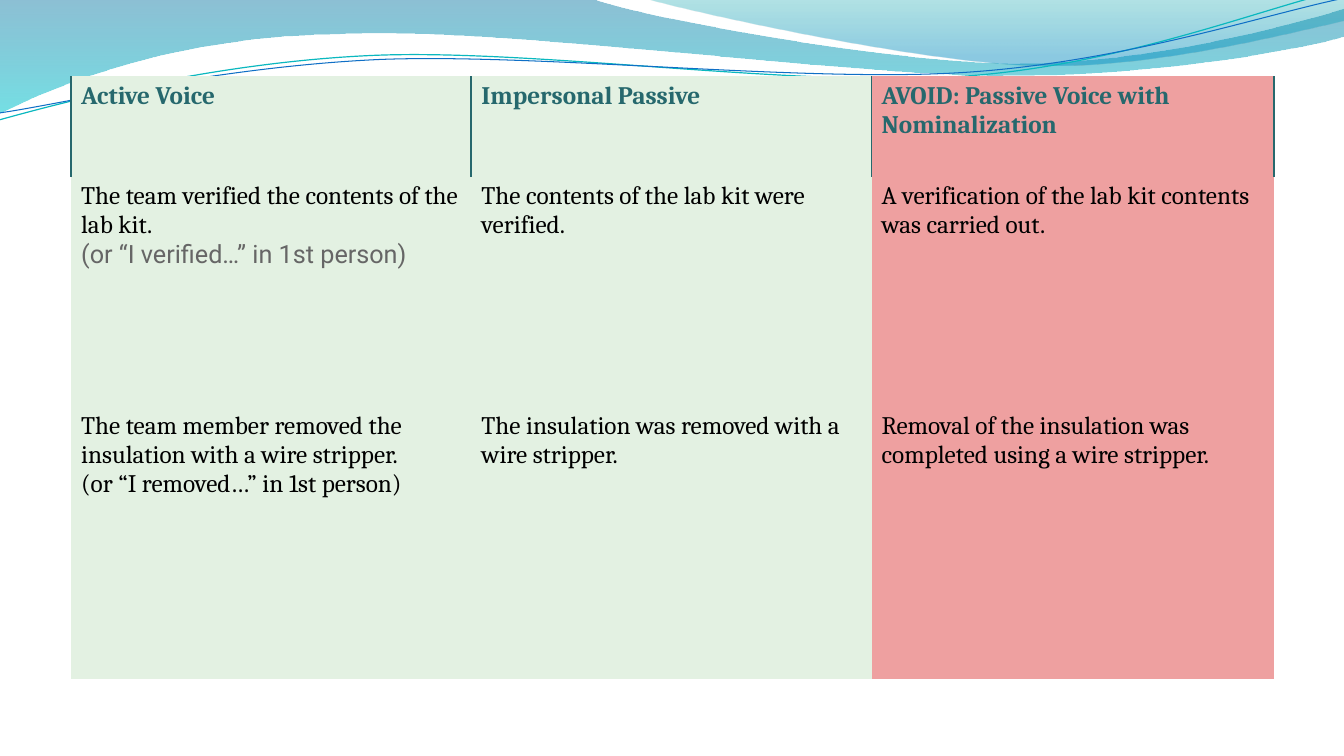
from lxml import etree
from pptx import Presentation
from pptx import util as u
from pptx.dml.color import RGBColor
from pptx.oxml.ns import qn

COLORS = {
    "wave_blue": "0074A1", "wave_cyan": "00C6CF",
    "crest_teal": "00A1A9", "crest_blue": "008BBF",
    "line_teal": "0AB8BF", "line_blue": "0F6FC6",
    "heading": "26686D", "body": "000000", "aside": "666666",
    "good": "E3F1E2", "avoid": "EEA0A0",
}
GRID_COLUMNS, GRID_ROWS = 13.33, 7.5
PLAIN_TABLE_STYLE = "{2D5ABB26-0587-4C30-8999-92F81FD0307C}"

WAVES = [
    ([(0, 0), (5.87, -0.01),
      (6.34, 0.17, 8.85, 0.63, 10.11, 0.63),
      (11.38, 0.63, 12.78, 0.26, 13.33, 0.09), (13.35, 0.36),
      (13.11, 0.44, 11.6, 0.76, 9.94, 0.75),
      (8.29, 0.75, 5.09, 0.28, 3.43, 0.34),
      (1.72, 0.36, 0.61, 0.83, -0.01, 1.13)],
     [(0, "wave_blue", 45), (1, "wave_cyan", 55)]),
    ([(6.39, -0.01),
      (6.79, 0.11, 9.09, 0.62, 10.25, 0.65),
      (11.41, 0.69, 12.82, 0.32, 13.33, 0.21), (13.33, 0)],
     [(0, "crest_teal", 30), (0.8, "crest_blue", 45)]),
]
RIPPLES = [
    ([(-0.01, 1.19),
      (0.64, 1.01, 2.11, 0.62, 3.69, 0.55),
      (5.27, 0.48, 7.9, 0.87, 9.5, 0.76),
      (11.1, 0.66, 12.52, 0.08, 13.31, -0.1)], "line_teal", 0.85),
    ([(0, 1.12),
      (0.63, 1.03, 2.18, 0.66, 3.78, 0.59),
      (5.37, 0.53, 7.96, 0.82, 9.55, 0.72),
      (11.15, 0.62, 12.55, 0.14, 13.34, -0.02)], "line_blue", 0.75),
]

COLUMN_WIDTHS = [3.97, 3.97, 3.99]
ROW_HEIGHTS = [1, 2.28, 2.7]
VOICE_ROWS = [
    [["Active Voice"], ["Impersonal Passive"],
     ["AVOID: Passive Voice with Nominalization"]],
    [["The team verified the contents of the lab kit.",
      "(or “I verified…” in 1st person)"],
     ["The contents of the lab kit were verified."],
     ["A verification of the lab kit contents was carried out."]],
    [["The team member removed the insulation with a wire stripper.",
      "(or “I removed…” in 1st person)"],
     ["The insulation was removed with a wire stripper."],
     ["Removal of the insulation was completed using a wire stripper."]],
]


def color(name):
    return RGBColor.from_string(COLORS[name])


def bend_segments(shape, segments):
    lines = iter(list(shape.element.iter(qn("a:lnTo"))))
    for segment in segments:
        line = next(lines)
        if len(segment) == 6:
            line.tag_name = None
            curve = etree.Element(qn("a:cubicBezTo"))
            line.addprevious(curve)
            for node in (line, next(lines), next(lines)):
                curve.append(node[0])
                node.getparent().remove(node)


def add_outline(slide, box, outline, close):
    left, top, unit = box
    points = [(left + x * unit, top + y * unit)
              for segment in outline
              for x, y in zip(segment[::2], segment[1::2])]
    builder = slide.shapes.build_freeform(*points[0])
    builder.add_line_segments(points[1:], close=close)
    shape = builder.convert_to_shape()
    shape.shadow.inherit = False
    bend_segments(shape, outline[1:])
    return shape


def add_wave_header(slide, box):
    for outline, stops in WAVES:
        shape = add_outline(slide, box, outline, True)
        shape.line.fill.background()
        shape.fill.gradient()
        shape.fill.gradient_angle = 270
        for gradient_stop, (position, name, _) in zip(shape.fill.gradient_stops, stops):
            gradient_stop.position = position
            gradient_stop.color.rgb = color(name)
        for node, (_, _, opacity) in zip(shape.element.iter(qn("a:srgbClr")), stops):
            etree.SubElement(node, qn("a:alpha"), val=str(opacity * 1000))
    for outline, name, width in RIPPLES:
        shape = add_outline(slide, box, outline, False)
        shape.fill.background()
        shape.line.color.rgb = color(name)
        shape.line.width = u.Pt(width)


def add_side_borders(cell):
    properties = cell._tc.get_or_add_tcPr()
    for index, side in enumerate(("a:lnL", "a:lnR")):
        line = etree.Element(qn(side), w=str(u.Pt(1.5)))
        fill = etree.SubElement(line, qn("a:solidFill"))
        etree.SubElement(fill, qn("a:srgbClr"), val=COLORS["heading"])
        properties.insert(index, line)


def fill_cell(cell, lines, row, column):
    cell.fill.solid()
    cell.fill.fore_color.rgb = color("avoid" if column == 2 else "good")
    cell.text = "\n".join(lines)
    for index, paragraph in enumerate(cell.text_frame.paragraphs):
        aside = row == 1 and index == 1
        font = paragraph.font
        font.size = u.Pt(18)
        font.name = "Roboto" if aside else "Cambria"
        font.bold = row == 0
        font.color.rgb = color("heading" if row == 0 else "aside" if aside else "body")
    if row == 0:
        add_side_borders(cell)


def add_voice_table(slide, box):
    left, top, unit = box
    frame = slide.shapes.add_table(
        len(ROW_HEIGHTS), len(COLUMN_WIDTHS), left, top,
        int(sum(COLUMN_WIDTHS) * unit), int(sum(ROW_HEIGHTS) * unit))
    table = frame.table
    table.horz_banding = False
    table.first_row = False
    table._tbl.tblPr.find(qn("a:tableStyleId")).text = PLAIN_TABLE_STYLE
    for column, width in zip(table.columns, COLUMN_WIDTHS):
        column.width = int(width * unit)
    for row, height in zip(table.rows, ROW_HEIGHTS):
        row.height = int(height * unit)
    for row, entries in enumerate(VOICE_ROWS):
        for column, lines in enumerate(entries):
            fill_cell(table.cell(row, column), lines, row, column)


def main():
    presentation = Presentation()
    presentation.slide_width = u.Inches(GRID_COLUMNS)
    presentation.slide_height = u.Inches(GRID_ROWS)
    slide = presentation.slides.add_slide(presentation.slide_layouts[6])
    unit = presentation.slide_width / GRID_COLUMNS
    add_wave_header(slide, (0, 0, unit))
    add_voice_table(slide, (u.Pt(50.75), u.Pt(54.5), unit))
    presentation.save("out.pptx")


if __name__ == "__main__":
    main()
